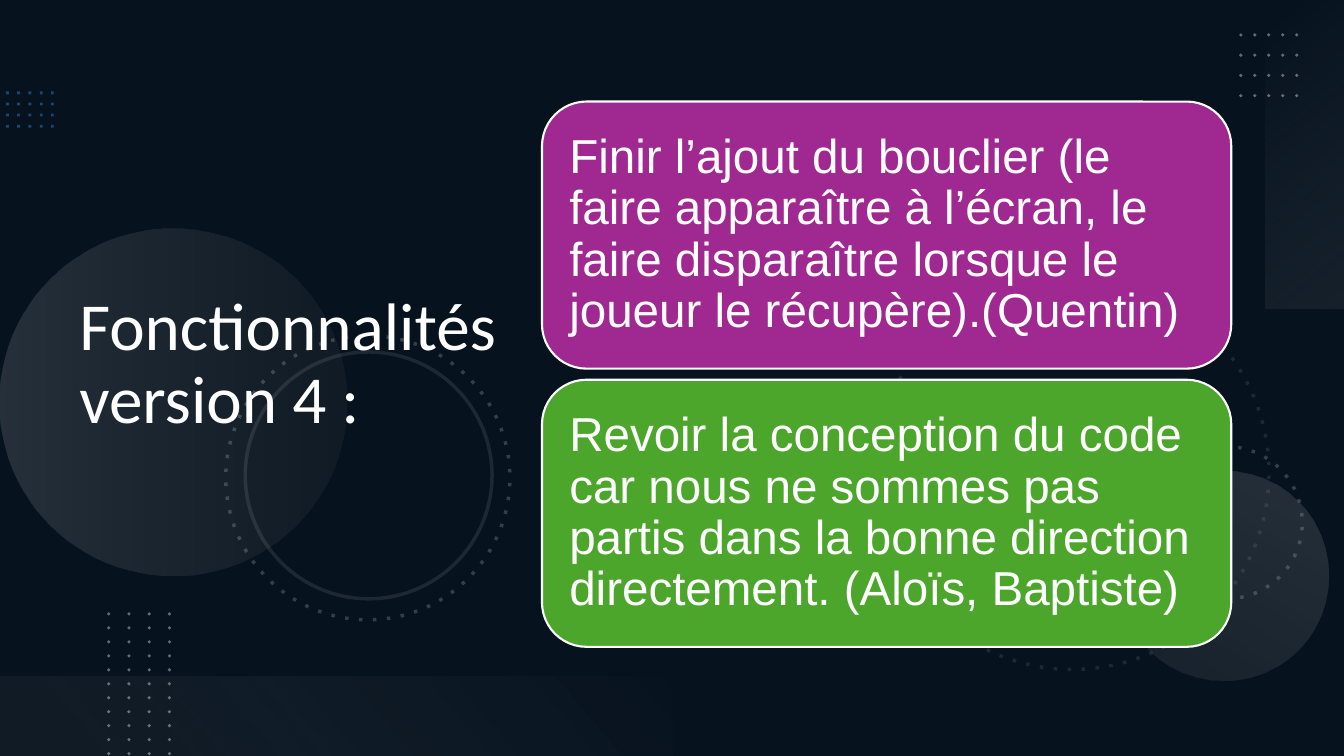
from lxml import etree
from pptx import Presentation
from pptx.dml.color import RGBColor
from pptx.enum.shapes import MSO_CONNECTOR, MSO_SHAPE
from pptx.enum.text import MSO_ANCHOR, PP_ALIGN
from pptx.oxml.ns import qn
from pptx.util import Cm, Pt

STRAIGHT = MSO_CONNECTOR.STRAIGHT
OVAL, RECTANGLE, ROUNDED = MSO_SHAPE.OVAL, MSO_SHAPE.RECTANGLE, MSO_SHAPE.ROUNDED_RECTANGLE
MIDDLE, LEFT = MSO_ANCHOR.MIDDLE, PP_ALIGN.LEFT
FLAT_CAP, ROUND_CAP = "flat", "rnd"

NAVY = RGBColor(0x0E, 0x28, 0x41)
BLACK = RGBColor(0x00, 0x00, 0x00)
WHITE = RGBColor(0xFF, 0xFF, 0xFF)
BLUE = RGBColor(0x2A, 0x7A, 0xD0)
PALE = RGBColor(0xF1, 0xF1, 0xF1)
LIGHT = RGBColor(0xF5, 0xF5, 0xF5)
SILVER = RGBColor(0xAE, 0xAE, 0xAE)
GREY = RGBColor(0x74, 0x74, 0x74)
PURPLE = RGBColor(0xA0, 0x28, 0x91)
GREEN = RGBColor(0x4C, 0xA6, 0x2C)

WIDTH, HEIGHT = 33.87, 19.05
TITLE = "Fonctionnalités version 4 :"
CARDS = [
    ("Finir l’ajout du bouclier (le faire apparaître à l’écran, le faire "
     "disparaître lorsque le joueur le récupère).(Quentin)", PURPLE),
    ("Revoir la conception du code car nous ne sommes pas partis dans la bonne "
     "direction directement. (Aloïs, Baptiste)", GREEN),
]


def set_opacity(shape, *percents):
    """Give the shape's RGB colours, in order, these opacities."""
    for colour, percent in zip(shape._element.iter(qn("a:srgbClr")), percents):
        etree.SubElement(colour, qn("a:alpha")).set("val", str(percent * 1000))


def format_line(line, colour, width, dot_cap=None):
    """Colour the line; a dot cap makes it dotted."""
    line.color.rgb = colour
    line.width = Pt(width)
    if dot_cap:
        outline = line._get_or_add_ln()
        outline.set("cap", dot_cap)
        etree.SubElement(outline, qn("a:prstDash")).set("val", "dot")


def add_plain_shape(slide, kind, left, top, width, height, rotation=0):
    shape = slide.shapes.add_shape(kind, Cm(left), Cm(top), Cm(width), Cm(height))
    shape.shadow.inherit = False
    shape.rotation = rotation
    shape.line.fill.background()
    return shape


def add_overlay(slide):
    overlay = add_plain_shape(slide, RECTANGLE, 0, 0, WIDTH, HEIGHT)
    overlay.fill.solid()
    overlay.fill.fore_color.rgb = BLACK
    set_opacity(overlay, 53)


def add_gradient_shape(slide, kind, box, rotation, angle, *stops):
    """Each stop is (position, colour, opacity); the angle runs clockwise."""
    shape = add_plain_shape(slide, kind, *box, rotation)
    shape.fill.gradient()
    shape.fill.gradient_angle = 360 - angle
    for gradient_stop, (position, colour, _) in zip(shape.fill.gradient_stops, stops):
        gradient_stop.position = position
        gradient_stop.color.rgb = colour
    set_opacity(shape, *(opacity for _, _, opacity in stops))


def add_ring(slide, left, top, diameter, rotation, opacity, dot_cap=FLAT_CAP):
    ring = add_plain_shape(slide, OVAL, left, top, diameter, diameter, rotation)
    ring.fill.background()
    format_line(ring.line, PALE, 2.5, dot_cap)
    set_opacity(ring, opacity)


def add_dot_grid(slide, start, end, step, colour, width, opacity, dot_cap):
    """Draw four parallel dotted lines, each shifted by step from the last."""
    for index in range(4):
        shift_x, shift_y = index * step[0], index * step[1]
        line = slide.shapes.add_connector(
            STRAIGHT, Cm(start[0] + shift_x), Cm(start[1] + shift_y),
            Cm(end[0] + shift_x), Cm(end[1] + shift_y))
        format_line(line.line, colour, width, dot_cap)
        set_opacity(line, opacity)
        etree.SubElement(line._element.spPr, qn("a:effectLst"))


def write_text(shape, text, font_name, size, inset_x, inset_y):
    frame = shape.text_frame
    frame.text = text
    frame_format = {
        "word_wrap": True, "vertical_anchor": MIDDLE,
        "margin_left": Cm(inset_x), "margin_right": Cm(inset_x),
        "margin_top": Cm(inset_y), "margin_bottom": Cm(inset_y),
    }
    paragraph = frame.paragraphs[0]
    font = paragraph.runs[0].font
    font.color.rgb = WHITE
    for target, values in (
        (frame, frame_format),
        (paragraph, {"alignment": LEFT, "line_spacing": 0.9}),
        (font, {"name": font_name, "size": Pt(size)}),
    ):
        for name, value in values.items():
            setattr(target, name, value)


def place_title(slide):
    """Set the title and bring it in front of the decoration."""
    title = slide.shapes.title
    title.left, title.top, title.width, title.height = Cm(1.75), Cm(1.37), Cm(11.66), Cm(15.67)
    write_text(title, TITLE, "Calibri", 48, 0.25, 0.13)
    slide.shapes._spTree.append(title._element)


def add_card(slide, top, text, colour):
    card = add_plain_shape(slide, ROUNDED, 13.66, top, 17.37, 6.73)
    card.fill.solid()
    card.fill.fore_color.rgb = colour
    format_line(card.line, WHITE, 1.5)
    write_text(card, text, "Arial", 34, 0.36, 0.36)


def add_decoration(slide):
    add_overlay(slide)
    add_dot_grid(slide, (0.15, 2.34), (1.35, 2.34), (0, 0.28), BLUE, 2, 50, FLAT_CAP)
    add_ring(slide, 22.07, 6.96, 9.91, 75, 10)
    add_ring(slide, 28.98, 11.25, 3.84, 270, 20)
    add_gradient_shape(slide, OVAL, (0, 5.77, 8.74, 8.74), 270, 90,
                       (0, SILVER, 20), (1, GREY, 10))
    add_gradient_shape(slide, OVAL, (28.19, 11.86, 5.28, 5.28), 210, 90,
                       (0, SILVER, 10), (1, SILVER, 20))
    add_ring(slide, 5.69, 8.46, 7.16, 75, 20)
    add_ring(slide, 6.18, 8.87, 6.22, 75, 10, dot_cap=None)
    add_gradient_shape(slide, RECTANGLE, (29.01, 2.9, 7.77, 1.98), 270, 140,
                       (0, LIGHT, 0), (1, SILVER, 10))
    add_dot_grid(slide, (31.27, 0.88), (32.79, 0.88), (0, 0.51), PALE, 2.5, 40, ROUND_CAP)
    add_gradient_shape(slide, RECTANGLE, (0, 17.05, 16.94, 2), 180, 140,
                       (0.1, GREY, 10), (1, PALE, 0))
    add_dot_grid(slide, (2.74, 15.47), (2.74, HEIGHT), (0.51, 0), PALE, 2.5, 40, ROUND_CAP)


def main():
    presentation = Presentation()
    presentation.slide_width, presentation.slide_height = Cm(WIDTH), Cm(HEIGHT)
    title_only = presentation.slide_layouts[5]
    slide = presentation.slides.add_slide(title_only)
    slide.background.fill.solid()
    slide.background.fill.fore_color.rgb = NAVY
    add_decoration(slide)
    place_title(slide)
    for index, (text, colour) in enumerate(CARDS):
        add_card(slide, 2.56 + index * 7.01, text, colour)
    presentation.save("out.pptx")


if __name__ == "__main__":
    main()
